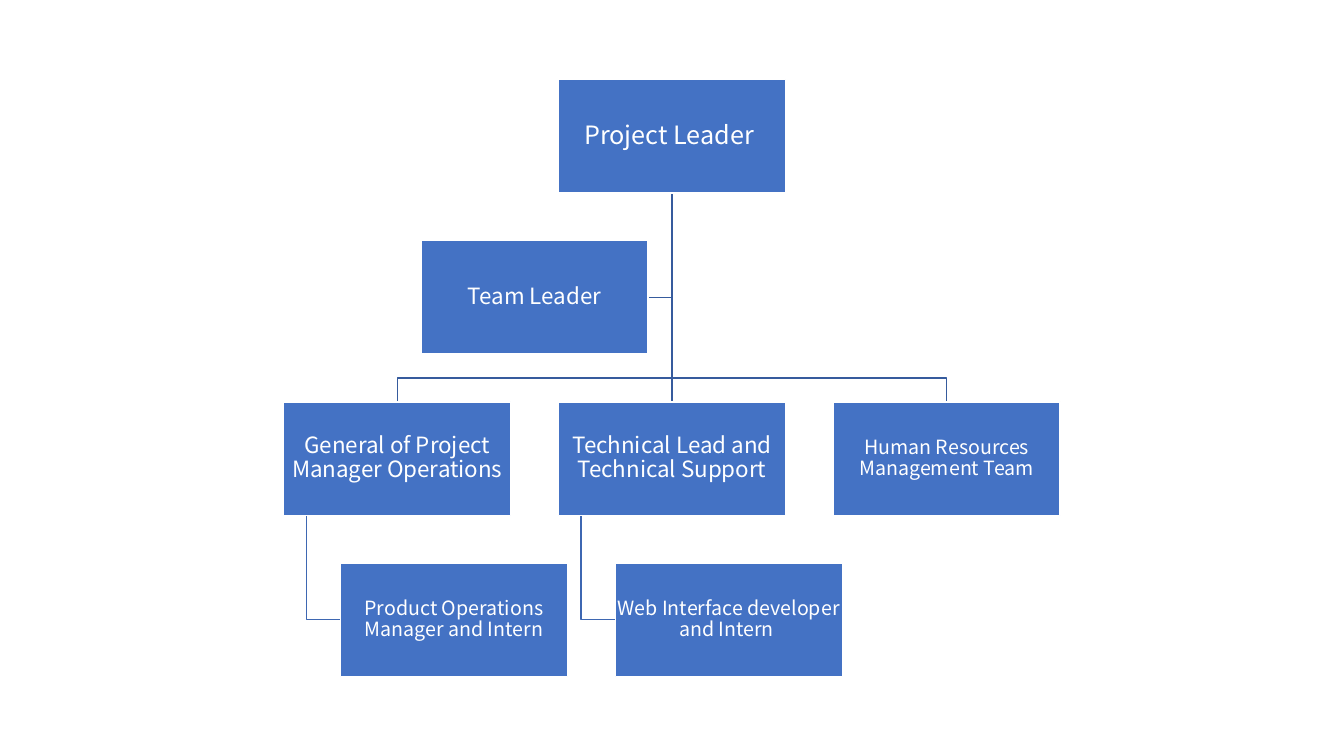
from lxml import etree
from pptx import Presentation
from pptx.dml.color import RGBColor
from pptx.enum import shapes, text
from pptx.oxml import ns
from pptx.util import Pt

WHITE = RGBColor(0xFF, 0xFF, 0xFF)
BOX_BLUE = RGBColor(0x44, 0x72, 0xC4)
BRANCH_BLUE = RGBColor(0x36, 0x5B, 0x9D)
INTERN_BLUE = RGBColor(0x3E, 0x67, 0xB2)
FONT = "Noto Sans CJK SC"

# Distance between neighbouring boxes, in box widths and box heights
STEP = 1.42
COLUMN_STEP = 1.21

# Column, row, shift in box widths, text size, wording
LEADER = (1, 0, 0, 18, "Project Leader ")
ASSISTANT = (0.5, 1, 0, 16, "Team Leader")
MANAGERS = [
    (0, 2, 0, 16, "General of Project Manager Operations"),
    (1, 2, 0, 16, "Technical Lead and Technical Support"),
    (2, 2, 0, 14, "Human Resources Management Team"),
]
INTERNS = [
    (0, 3, 0.25, 14, "Product Operations Manager and Intern"),
    (1, 3, 0.25, 14, "Web Interface developer and Intern "),
]


def add_straight(slide, start, end, color):
    line = slide.shapes.add_connector(
        shapes.MSO_CONNECTOR.STRAIGHT, *map(Pt, start + end))
    line.line.color.rgb = color
    line.line.width = Pt(1)
    etree.SubElement(line._element.spPr, ns.qn("a:effectLst"))


def add_elbow(slide, points, color):
    start, *others = [(Pt(x), Pt(y)) for x, y in points]
    builder = slide.shapes.build_freeform(*start)
    builder.add_line_segments(others, close=False)
    elbow = builder.convert_to_shape()
    elbow.shadow.inherit = False
    elbow.fill.background()
    elbow.line.color.rgb = color
    elbow.line.width = Pt(1)


def add_box(slide, left, top, width, height, size, wording):
    box = slide.shapes.add_shape(
        shapes.MSO_SHAPE.RECTANGLE, Pt(left), Pt(top), Pt(width), Pt(height))
    box.shadow.inherit = False
    box.fill.solid()
    box.fill.fore_color.rgb = BOX_BLUE
    box.line.color.rgb = WHITE
    box.line.width = Pt(1)

    frame = box.text_frame
    frame.word_wrap = True
    frame.vertical_anchor = text.MSO_ANCHOR.MIDDLE
    frame.margin_left = frame.margin_right = Pt(0.8)
    frame.margin_top = frame.margin_bottom = Pt(0.8)
    frame.text = wording
    paragraph = frame.paragraphs[0]
    paragraph.alignment = text.PP_ALIGN.CENTER
    paragraph.line_spacing = 0.9
    font = paragraph.runs[0].font
    font.name = FONT
    font.size = Pt(size)
    font.color.rgb = WHITE


def add_org_chart(slide, left, top, width, height):
    box_width = width / (1 + 2 * COLUMN_STEP)
    box_height = height / (1 + 3 * STEP)

    def corner(person):
        column, row, shift = person[:3]
        return (left + (column * COLUMN_STEP + shift) * box_width,
                top + row * STEP * box_height)

    # Lines from the leader to the managers and the assistant
    trunk_x = left + width / 2
    trunk_top = top + box_height
    manager_top = corner(MANAGERS[0])[1]
    branch_y = manager_top - (STEP - 1) / 2 * box_height
    for manager in MANAGERS:
        center = corner(manager)[0] + box_width / 2
        if manager[0] == LEADER[0]:
            add_straight(slide, (trunk_x, trunk_top),
                         (trunk_x, manager_top), BRANCH_BLUE)
        else:
            add_elbow(slide, [(trunk_x, trunk_top), (trunk_x, branch_y),
                              (center, branch_y), (center, manager_top)],
                      BRANCH_BLUE)
    assistant_left, assistant_top = corner(ASSISTANT)
    assistant_y = assistant_top + box_height / 2
    add_elbow(slide, [(trunk_x, trunk_top), (trunk_x, assistant_y),
                      (assistant_left + box_width, assistant_y)], BRANCH_BLUE)

    # Lines from the managers to the interns
    for manager, intern in zip(MANAGERS, INTERNS):
        hang_x = corner(manager)[0] + box_width / 10
        intern_left, intern_top = corner(intern)
        intern_y = intern_top + box_height / 2
        add_elbow(slide, [(hang_x, manager_top + box_height),
                          (hang_x, intern_y), (intern_left, intern_y)],
                  INTERN_BLUE)

    # Boxes
    for person in [LEADER, ASSISTANT, *MANAGERS, *INTERNS]:
        add_box(slide, *corner(person), box_width, box_height, *person[3:])


presentation = Presentation()
presentation.slide_width = Pt(960)
presentation.slide_height = Pt(540)
chart_slide = presentation.slides.add_slide(presentation.slide_layouts[6])
add_org_chart(chart_slide, left=202.7, top=56.7, width=554.6, height=426.6)
presentation.save("out.pptx")
